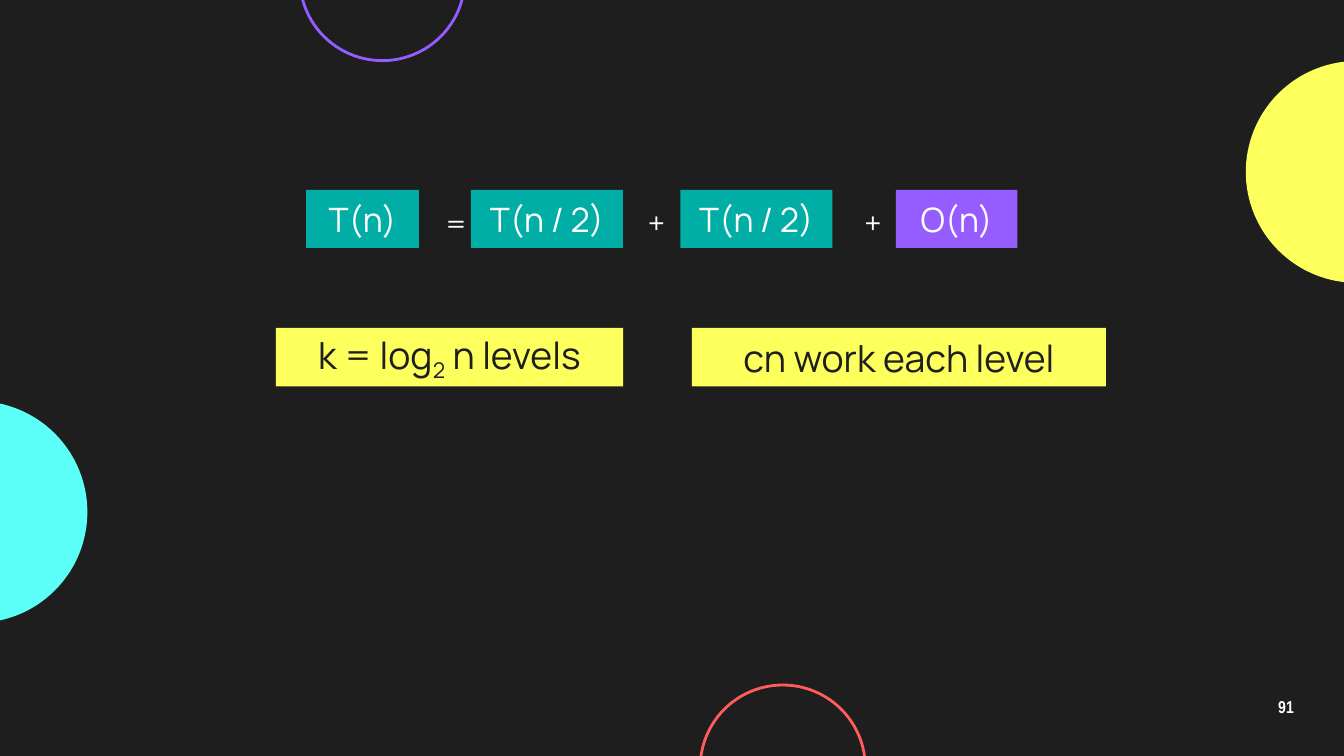
from pptx import Presentation
from pptx.dml.color import RGBColor
from pptx.enum.shapes import MSO_SHAPE as Shape
from pptx.enum.text import MSO_ANCHOR as Anchor, PP_ALIGN as Align
from pptx.util import Pt

COLORS = {
    "dark": "1E1E1E", "white": "FFFFFF", "teal": "00AEA6", "purple": "955CFF",
    "yellow": "FDFF5C", "cyan": "5CFFF8", "red": "FF5C5C",
}
BODY_FONT = "Manrope"

# left, top, diameter, color, filled
CIRCLES = [
    (-72, 214.9, 118.8, "cyan", True),
    (667.4, 32.7, 118.8, "yellow", True),
    (160.6, -56, 88.5, "purple", False),
    (375.1, 367, 88.5, "red", False),
]
# text, left, width, color
TERMS = [
    ("T(n)", 164, 60.5, "teal"),
    ("T(n / 2)", 252.3, 81.4, "teal"),
    ("T(n / 2)", 364.5, 81.4, "teal"),
    ("O(n)", 480, 65, "purple"),
]
TERM_TOP, TERM_HEIGHT = 101.8, 31
# text, left, top
OPERATORS = [("=", 231.3, 107.7), ("+", 340, 106.8), ("+", 456, 106.8)]
OPERATOR_SIZE = (15.2, 24.5)
# runs as (text, is subscript), left, width
FACTS = [
    ([("k = log", False), ("2", True), (" n levels", False)], 147.8, 186),
    ([("cn work each level", False)], 370.7, 221.8),
]
FACT_TOP, FACT_HEIGHT = 175.7, 31.4
PAGE_NUMBER = "91"


def color(name):
    return RGBColor.from_string(COLORS[name])


def add_figure(slide, kind, box, fill=None, outline=None):
    figure = slide.shapes.add_shape(kind, *map(Pt, box))
    figure.shadow.inherit = False
    if fill:
        figure.fill.solid()
        figure.fill.fore_color.rgb = color(fill)
    else:
        figure.fill.background()
    if outline:
        figure.line.color.rgb = color(outline)
        figure.line.width = Pt(1.5)
    else:
        figure.line.fill.background()
    return figure


def write(holder, runs, size, ink="white", font=BODY_FONT, bold=False):
    """Fill a shape with one centred line of (text, is subscript) runs."""
    frame = holder.text_frame
    frame.word_wrap = False
    frame.vertical_anchor = Anchor.MIDDLE
    paragraph = frame.paragraphs[0]
    paragraph.alignment = Align.CENTER
    for text, subscript in runs:
        run = paragraph.add_run()
        run.text = text
        run.font.name = font
        run.font.size = Pt(size)
        run.font.bold = bold
        run.font.color.rgb = color(ink)
        if subscript:
            run._r.get_or_add_rPr().set("baseline", "-25000")
    return paragraph


def main():
    deck = Presentation()
    deck.slide_width, deck.slide_height = Pt(720), Pt(405)
    slide = deck.slides.add_slide(deck.slide_layouts[6])
    slide.background.fill.solid()
    slide.background.fill.fore_color.rgb = color("dark")

    for left, top, diameter, tint, filled in CIRCLES:
        paint = {"fill" if filled else "outline": tint}
        add_figure(slide, Shape.OVAL, (left, top, diameter, diameter), **paint)

    number = slide.shapes.add_textbox(Pt(667.4), Pt(367), Pt(43.2), Pt(24.5))
    line = write(number, [(PAGE_NUMBER, False)], 9.2, font="Arial Narrow", bold=True)
    line.line_spacing = 0.9

    for text, left, width, fill in TERMS:
        box = (left, TERM_TOP, width, TERM_HEIGHT)
        write(add_figure(slide, Shape.RECTANGLE, box, fill), [(text, False)], 18)

    for text, left, top in OPERATORS:
        operator = slide.shapes.add_textbox(*map(Pt, (left, top, *OPERATOR_SIZE)))
        write(operator, [(text, False)], 16)

    for runs, left, width in FACTS:
        box = (left, FACT_TOP, width, FACT_HEIGHT)
        write(add_figure(slide, Shape.RECTANGLE, box, "yellow"), runs, 20, "dark")

    deck.save("out.pptx")


if __name__ == "__main__":
    main()
